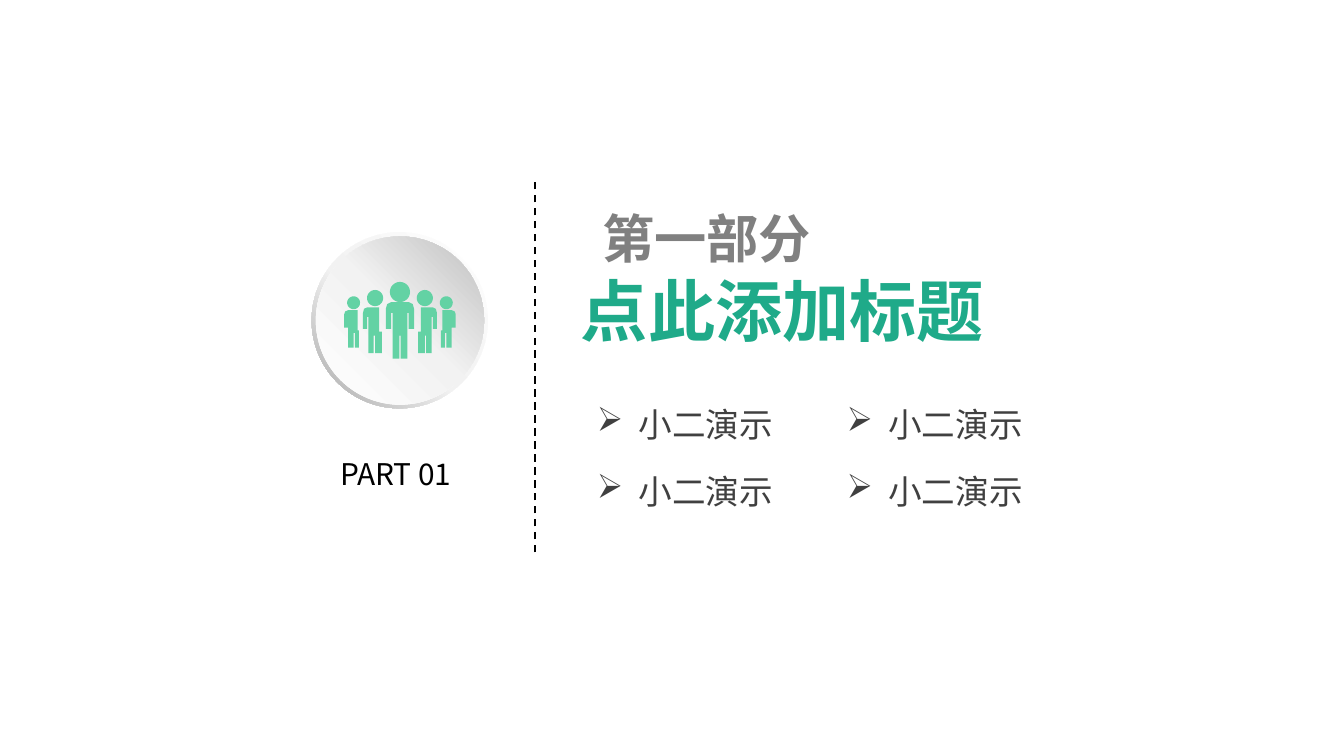
from dataclasses import dataclass
from copy import deepcopy
from math import cos, pi, sin

from lxml import etree
from pptx import Presentation
from pptx.dml.color import RGBColor
from pptx.enum.dml import MSO_LINE
from pptx.enum.shapes import MSO_CONNECTOR, MSO_SHAPE
from pptx.enum.text import MSO_ANCHOR, MSO_AUTO_SIZE, PP_ALIGN
from pptx.oxml.ns import qn
from pptx.util import Cm, Pt

DASH = MSO_LINE.DASH
STRAIGHT = MSO_CONNECTOR.STRAIGHT
DONUT, OVAL = MSO_SHAPE.DONUT, MSO_SHAPE.OVAL
TOP = MSO_ANCHOR.TOP
FIT = MSO_AUTO_SIZE.SHAPE_TO_FIT_TEXT
LEFT, CENTER = PP_ALIGN.LEFT, PP_ALIGN.CENTER

FONT = "Noto Sans CJK SC"
BLACK = RGBColor(0x00, 0x00, 0x00)
WHITE = RGBColor(0xFF, 0xFF, 0xFF)
PALE = RGBColor(0xF2, 0xF2, 0xF2)
SILVER = RGBColor(0xBF, 0xBF, 0xBF)
STEEL = RGBColor(0xA6, 0xA6, 0xA6)
GRAY = RGBColor(0x80, 0x80, 0x80)
DARK = RGBColor(0x40, 0x40, 0x40)
GREEN = RGBColor(0x1F, 0xAA, 0x89)
MINT = RGBColor(0x63, 0xD2, 0xA4)

Points = list[tuple[float, float]]


@dataclass
class Disc:
    kind: int
    left: float
    top: float
    size: float
    stops: list
    angle: int  # counter-clockwise degrees


@dataclass
class Head:
    x: float
    y: float
    radius: float


DISCS = [
    Disc(DONUT, 5.89, 4.39, 3.33, [(0, WHITE), (0.55, PALE), (1, STEEL)], 225),
    Disc(OVAL, 5.97, 4.47, 3.18, [(0, WHITE), (0.51, PALE), (1, SILVER)], 45),
]

# People icon: points are steps from its axis and its top
STEP = Cm(2.54) / 100
ICON_X, ICON_Y = Cm(7.56), Cm(5.33)
CENTER_HEAD = Head(0, 7.5, 7.5)
SIDE_HEADS = [Head(-18.5, 12, 6), Head(-34.5, 15.5, 4.8)]
CENTER_HALF = [(-0.5, 40), (-0.5, 57), (-5.5, 57), (-5.5, 23), (-6.5, 23),
               (-6.5, 35), (-10.5, 35), (-10.5, 20), (-9.5, 16.5), (-6.5, 15)]
SIDE_BODIES = [
    [(-13.5, 37), (-13.5, 53), (-18.5, 53), (-18.5, 40), (-19.5, 40),
     (-19.5, 53), (-23.5, 53), (-23.5, 26), (-24.5, 26), (-24.5, 35),
     (-27.5, 35), (-27.5, 23), (-26.7, 20), (-24.5, 19), (-15.5, 19),
     (-15.5, 37)],
    [(-30.5, 36), (-30.5, 49), (-33.5, 49), (-33.5, 38), (-34.5, 38),
     (-34.5, 49), (-38.5, 49), (-38.5, 34), (-41.5, 34), (-41.5, 24),
     (-40.7, 22), (-38.5, 21), (-31.5, 21), (-31.5, 36)],
]

ITEMS = [["小二演示", "小二演示"], ["小二演示", "小二演示"]]


def write(p, text: str, *, size: float, color: RGBColor, bold: bool = False,
          align=LEFT, margin: float = 0, hanging: float = 0,
          bullet: str = "") -> None:
    p.alignment = align
    pPr = p._p.get_or_add_pPr()
    pPr.set("marL", str(Cm(margin)))
    pPr.set("indent", str(-Cm(hanging)))
    if bullet:
        etree.SubElement(pPr, qn("a:buChar"), char=bullet)
    r = p.add_run()
    r.text = text
    r.font.size, r.font.bold, r.font.name = Pt(size), bold, FONT
    r.font.color.rgb = color
    etree.SubElement(r._r.get_or_add_rPr(), qn("a:ea"), typeface=FONT)


def add_label(s, left: float, top: float, width: float, height: float,
              text: str, **style) -> None:
    tb = s.shapes.add_textbox(Cm(left), Cm(top), Cm(width), Cm(height))
    tf = tb.text_frame
    tf.word_wrap, tf.auto_size = True, FIT
    tf.margin_left = tf.margin_right = tf.margin_top = tf.margin_bottom = 0
    write(tf.paragraphs[0], text, **style)


def add_disc(shapes, disc: Disc) -> None:
    sp = shapes.add_shape(disc.kind, Cm(disc.left), Cm(disc.top),
                          Cm(disc.size), Cm(disc.size))
    sp.shadow.inherit = False
    sp.line.fill.background()
    if disc.kind == DONUT:
        sp.adjustments[0] = 0.049
    sp.fill.gradient()
    sp.fill.gradient_angle = disc.angle
    stop_list = next(sp._element.iter(qn("a:gsLst")))
    stop_list.insert(1, deepcopy(stop_list[0]))
    for stop, (position, color) in zip(sp.fill.gradient_stops, disc.stops):
        stop.position = position
        stop.color.rgb = color


def mirror(points: Points) -> Points:
    return [(-x, y) for x, y in reversed(points)]


def circle(head: Head, count: int = 32) -> Points:
    angles = [2 * pi * i / count for i in range(count)]
    return [(head.x + head.radius * cos(a), head.y + head.radius * sin(a))
            for a in angles]


def add_people(shapes) -> None:
    sides = SIDE_BODIES + [circle(head) for head in SIDE_HEADS]
    outlines = [circle(CENTER_HEAD), CENTER_HALF + mirror(CENTER_HALF)]
    outlines += sides + [mirror(points) for points in sides]
    builder = None
    for outline in outlines:
        start, *rest = [(x * STEP, y * STEP) for x, y in outline]
        if builder is None:
            builder = shapes.build_freeform(*start)
        else:
            builder.move_to(*start)
        builder.add_line_segments(rest, close=True)
    sp = builder.convert_to_shape(ICON_X, ICON_Y)
    sp.shadow.inherit = False
    sp.fill.solid()
    sp.fill.fore_color.rgb = MINT
    sp.line.fill.background()


def main() -> None:
    prs = Presentation()
    prs.slide_width, prs.slide_height = Cm(25.4), Cm(14.29)
    s = prs.slides.add_slide(prs.slide_layouts[5])

    # Section title
    title = s.shapes.title
    title.left, title.top = Cm(10.69), Cm(3.78)
    title.width, title.height = Cm(8.2), Cm(3)
    tf = title.text_frame
    tf.word_wrap, tf.auto_size, tf.vertical_anchor = False, FIT, TOP
    write(tf.paragraphs[0], "第一部分", size=28, color=GRAY, bold=True,
          margin=0.44)
    write(tf.add_paragraph(), "点此添加标题", size=36, color=GREEN, bold=True,
          align=CENTER)

    # Dashed divider
    divider = s.shapes.add_connector(STRAIGHT, Cm(10.11), Cm(10.44),
                                     Cm(10.11), Cm(3.4))
    divider.line.color.rgb = BLACK
    divider.line.width = Pt(1)
    divider.line.dash_style = DASH
    etree.SubElement(divider._element.spPr, qn("a:effectLst"))

    # Part number and badge
    add_label(s, 6.43, 8.61, 2.51, 0.69, "PART 01", size=16, color=BLACK)
    badge = s.shapes.add_group_shape()
    for disc in DISCS:
        add_disc(badge.shapes, disc)
    add_people(badge.shapes)

    # Bulleted topics
    for row, texts in enumerate(ITEMS):
        for column, text in enumerate(texts):
            add_label(s, 11.28 + 4.72 * column, 7.63 + 1.27 * row, 5.59, 0.76,
                      text, size=18, color=DARK, margin=0.79, hanging=0.79,
                      bullet="➢")

    prs.save("out.pptx")


if __name__ == "__main__":
    main()
